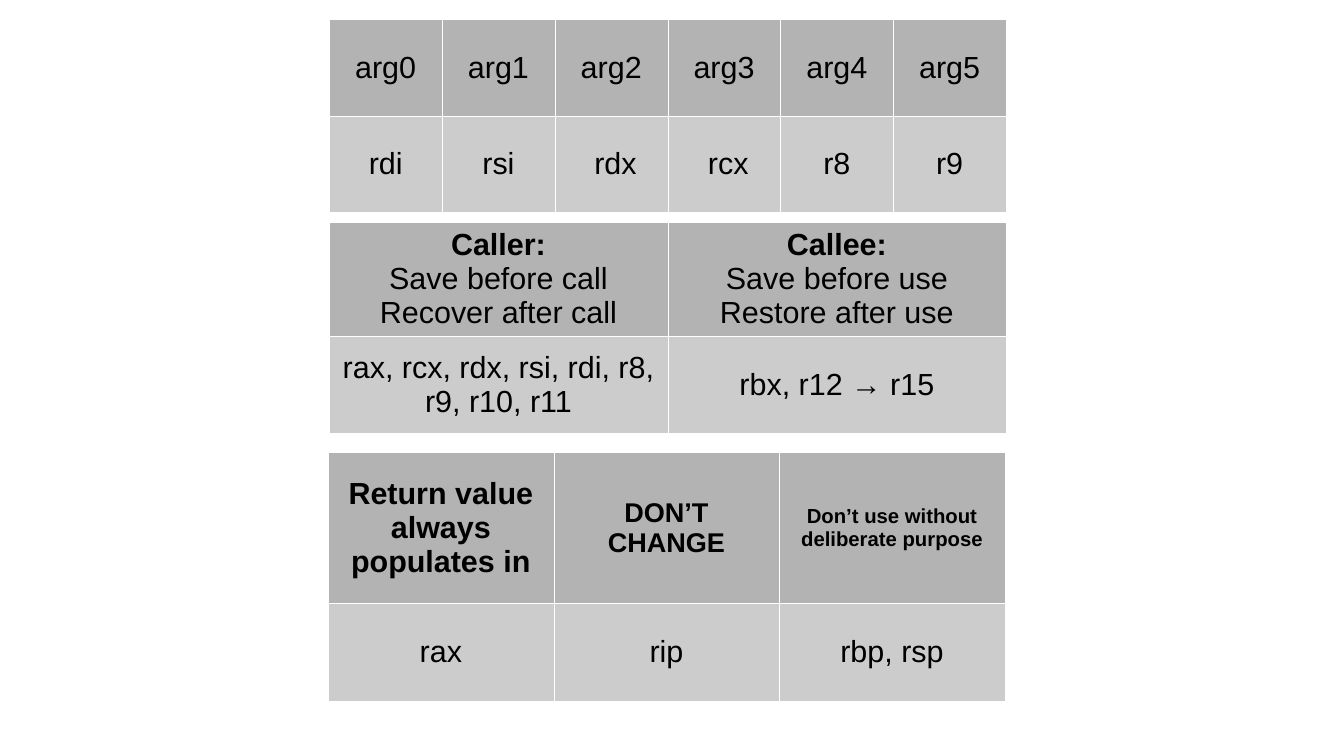
from lxml import etree
from pptx import Presentation
from pptx.dml.color import RGBColor
from pptx.enum.text import MSO_ANCHOR, PP_ALIGN
from pptx.oxml.ns import qn
from pptx.util import Inches, Pt

MIDDLE = MSO_ANCHOR.MIDDLE
CENTER = PP_ALIGN.CENTER
HUES = {"head": "B3B3B3", "body": "CCCCCC", "text": "000000", "line": "FFFFFF"}
WIDTH = 5.55  # shared by all tables


def add_edges(cell):
    props = cell._tc.get_or_add_tcPr()
    for spot, side in enumerate(("lnL", "lnR", "lnT", "lnB")):
        line = etree.Element(qn("a:" + side), w="720")
        fill = etree.SubElement(line, qn("a:solidFill"))
        etree.SubElement(fill, qn("a:srgbClr"), val=HUES["line"])
        props.insert(spot, line)


deck = Presentation()
deck.slide_width, deck.slide_height = Inches(11.02), Inches(6.2)
slide = deck.slides.add_slide(deck.slide_layouts[6])

# Left, top, row heights, header sizes, cell texts
tables = [
    (2.7, 0.16, (0.79, 0.79), [18] * 6, [
        [f"arg{n}" for n in range(6)],
        ["rdi", "rsi", " rdx", " rcx", "r8", "r9"]]),
    (2.7, 1.82, (0.93, 0.79), [18] * 2, [
        ["Caller:\nSave before call\nRecover after call",
         "Callee:\nSave before use\nRestore after use"],
        ["rax, rcx, rdx, rsi, rdi, r8, r9, r10, r11", "rbx, r12 → r15"]]),
    (2.69, 3.71, (1.24, 0.8), [18, 16, 12], [
        ["Return value always populates in", "DON’T CHANGE",
         "Don’t use without deliberate purpose"],
        ["rax", "rip", "rbp, rsp"]]),
]

for index, (left, top, heights, sizes, rows) in enumerate(tables):
    count = len(sizes)
    grid = slide.shapes.add_table(
        len(rows), count, Inches(left), Inches(top),
        Inches(WIDTH), Inches(sum(heights))).table
    for col in grid.columns:
        col.width = Inches(WIDTH / count)

    for r, texts in enumerate(rows):
        grid.rows[r].height = Inches(heights[r])
        for c, text in enumerate(texts):
            cell = grid.cell(r, c)
            cell.fill.solid()
            hue = HUES["body" if r else "head"]
            cell.fill.fore_color.rgb = RGBColor.from_string(hue)
            cell.vertical_anchor = MIDDLE
            add_edges(cell)

            # Headers open in bold, except in the argument table
            cell.text_frame.text = text
            for p, para in enumerate(cell.text_frame.paragraphs):
                para.alignment = CENTER
                font = para.runs[0].font
                font.name = "Arial"
                font.size = Pt(18 if r else sizes[c])
                font.bold = index > 0 and r == 0 and p == 0
                font.color.rgb = RGBColor.from_string(HUES["text"])

deck.save("out.pptx")
